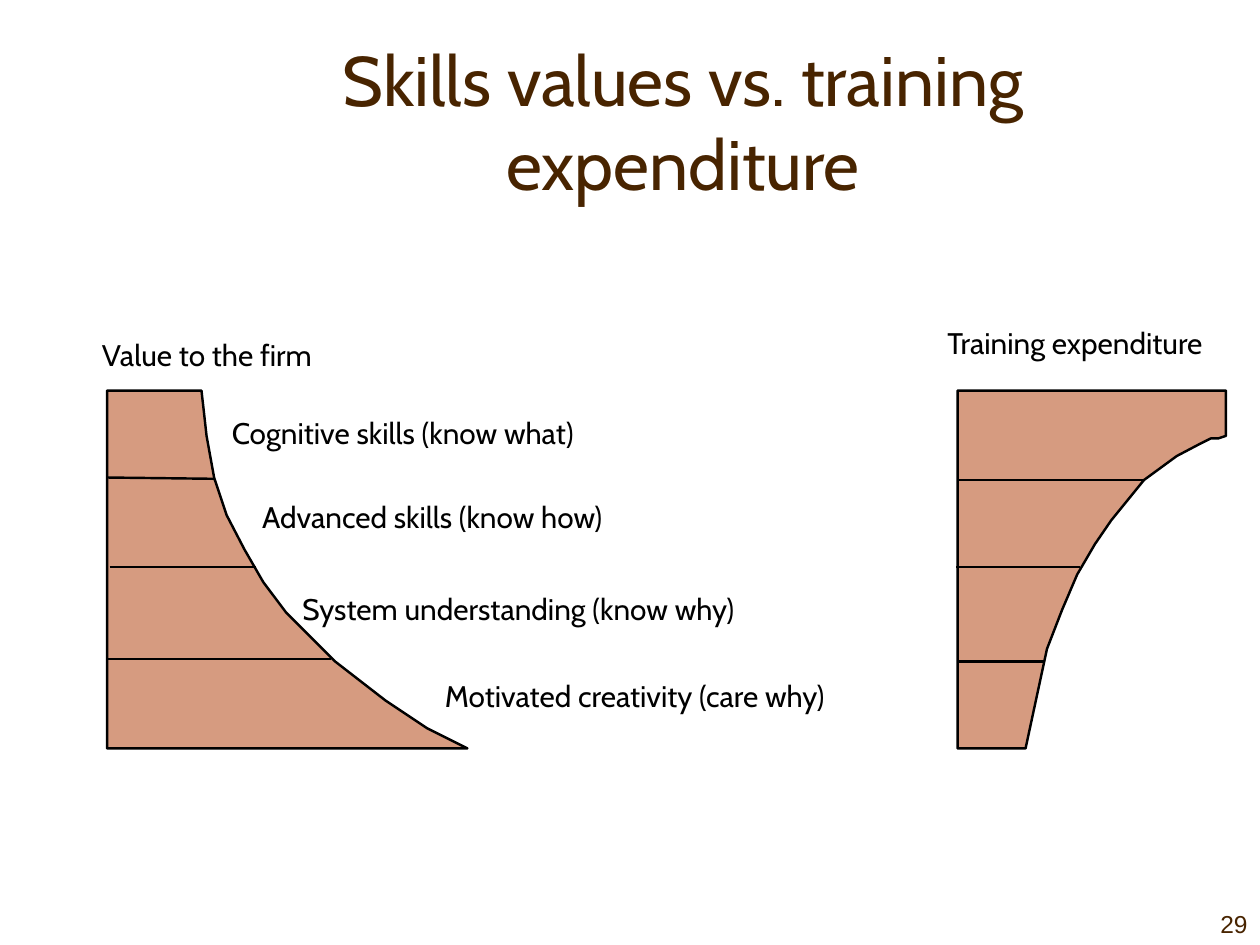
from lxml import etree
from pptx import Presentation
from pptx.dml.color import RGBColor
from pptx.enum.shapes import MSO_CONNECTOR
from pptx.enum.text import MSO_ANCHOR, MSO_AUTO_SIZE, PP_ALIGN
from pptx.oxml.ns import qn
from pptx.util import Inches, Pt

STRAIGHT = MSO_CONNECTOR.STRAIGHT
BOTTOM = MSO_ANCHOR.BOTTOM
NO_FIT, GROW = MSO_AUTO_SIZE.NONE, MSO_AUTO_SIZE.SHAPE_TO_FIT_TEXT
LEFT, CENTER, RIGHT = PP_ALIGN.LEFT, PP_ALIGN.CENTER, PP_ALIGN.RIGHT

W, H = 10, 7.5
BROWN, BLACK, CLAY = "482400", "000000", "D69B80"
FONT = "Cabin"
LINE = 1.39

# Both profiles share a top and a bottom edge
TOP, BASE = 3.1, 5.94
VALUE_X, TRAINING_X = 0.85, 7.6

VALUE_CURVE = [(3.71, BASE), (3.39, 5.78), (3.06, 5.56), (2.66, 5.25),
               (2.27, 4.86), (2.09, 4.62), (1.94, 4.36), (1.8, 4.09),
               (1.7, 3.79), (1.64, 3.46), (1.6, TOP)]
TRAINING_CURVE = [(8.14, BASE), (8.31, 5.15), (8.43, 4.84), (8.55, 4.56),
                  (8.69, 4.32), (8.82, 4.13), (9.08, 3.81), (9.34, 3.62),
                  (9.53, 3.52), (9.61, 3.48), (9.67, 3.48), (9.73, 3.46),
                  (9.73, TOP)]

# Level boundaries: start x, start y, end x, end y
DIVIDERS = [
    (VALUE_X, 3.79, 1.7, 3.8), (0.87, 4.5, 2.03, 4.5),
    (VALUE_X, 5.23, 2.63, 5.23),
    (TRAINING_X, 3.81, 9.08, 3.81), (7.59, 4.5, 8.57, 4.5),
    (TRAINING_X, 5.25, 8.29, 5.25),
]

# Labels: text, left, top, width
LABELS = [
    ("Value to the firm", 0.81, 2.67, 1.86),
    ("Training expenditure", 7.52, 2.58, 2.34),
    ("Cognitive skills (know what)", 1.84, 3.29, 3.06),
    ("Advanced skills (know how)", 2.08, 3.96, 3.03),
    ("System understanding (know why)", 2.4, 4.69, 3.83),
    ("Motivated creativity (care why)", 3.53, 5.38, 3.39),
]


def color(code):
    return RGBColor.from_string(code)


def write(tf, text, size, code, font=FONT, align=LEFT):
    p = tf.paragraphs[0]
    p.alignment = align
    r = p.add_run()
    r.text = text
    r.font.size = Pt(size)
    r.font.name = font
    r.font.color.rgb = color(code)


def set_line(line):
    line.color.rgb = color(BLACK)
    line.width = Pt(LINE)


def add_title(s, text):
    sp = s.shapes.title
    sp.left, sp.top = Inches(1.17), Inches(0.42)
    sp.width, sp.height = Inches(0.85 * W), Inches(H / 6)
    tf = sp.text_frame
    tf.auto_size = NO_FIT
    tf.vertical_anchor = BOTTOM
    write(tf, text, 40, BROWN, align=CENTER)


def add_profile(s, left, curve):
    """Filled outline between a straight left edge and a curve."""
    points = [(Inches(x), Inches(y))
              for x, y in curve + [(left, TOP), (left, BASE)]]
    builder = s.shapes.build_freeform(*points[0])
    builder.add_line_segments(points[1:], close=True)
    sp = builder.convert_to_shape()
    sp.shadow.inherit = False
    sp.fill.solid()
    sp.fill.fore_color.rgb = color(CLAY)
    set_line(sp.line)


def add_divider(s, *ends):
    c = s.shapes.add_connector(STRAIGHT, *map(Inches, ends))
    set_line(c.line)
    etree.SubElement(c._element.spPr, qn("a:effectLst"))


def add_label(s, text, left, top, width):
    sp = s.shapes.add_textbox(*map(Inches, (left, top, width, 0.28)))
    tf = sp.text_frame
    tf.margin_left = tf.margin_right = tf.margin_top = tf.margin_bottom = 0
    tf.word_wrap = False
    tf.auto_size = GROW
    write(tf, text, 17, BLACK)


def add_page_number(s, number):
    sp = s.shapes.add_textbox(*map(Inches, (W - 1, H - 0.5, 1, 0.5)))
    tf = sp.text_frame
    tf.word_wrap = True
    tf.vertical_anchor = BOTTOM
    write(tf, number, 14, BROWN, "Arial", RIGHT)


def main():
    prs = Presentation()
    prs.slide_width, prs.slide_height = Inches(W), Inches(H)
    s = prs.slides.add_slide(prs.slide_layouts[5])

    add_title(s, "Skills values vs. training expenditure")

    # Profiles and their levels
    add_profile(s, VALUE_X, VALUE_CURVE)
    add_profile(s, TRAINING_X, TRAINING_CURVE)
    for ends in DIVIDERS:
        add_divider(s, *ends)

    # Captions
    for label in LABELS:
        add_label(s, *label)
    add_page_number(s, "29")

    prs.save("out.pptx")


if __name__ == "__main__":
    main()
